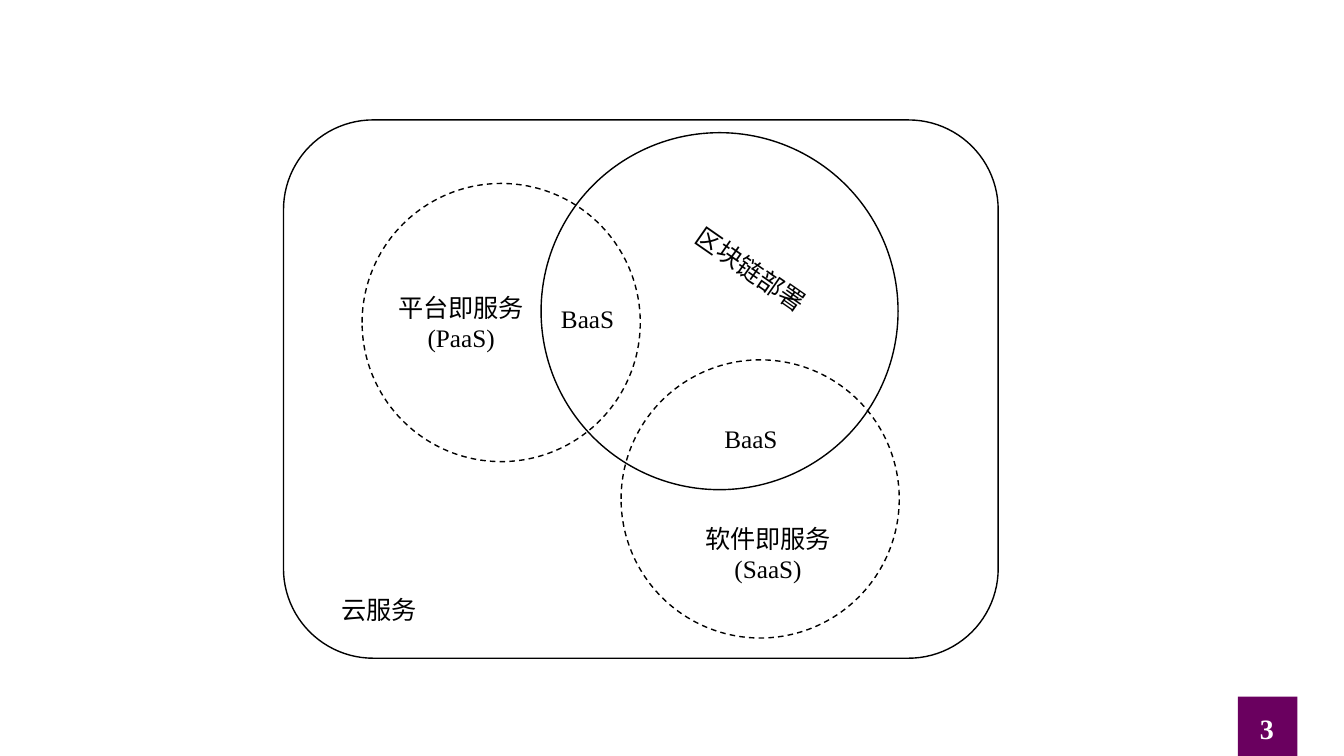
from lxml.etree import SubElement
from pptx import Presentation
from pptx.dml.color import RGBColor
from pptx.enum.dml import MSO_LINE
from pptx.enum.shapes import MSO_SHAPE
from pptx.enum.text import MSO_AUTO_SIZE, PP_ALIGN
from pptx.oxml.ns import qn
from pptx.util import Pt

COLORS = {"ink": "000000", "paper": "FFFFFF", "plum": "6A005F"}
LATIN, HAN = "Times New Roman", "Noto Sans CJK SC"

BADGE = (884.2, 497.5, 42.5, 42.5)
CLOUD = (202.5, 85.7, 510.5, 384.5)

# centre x, centre y, diameter, fill, dashed
CIRCLES = [
    (358, 230.4, 198.7, "paper", True),
    (543, 356.4, 198.7, "paper", True),
    (514, 222.3, 255, None, False),
]

# lines, left, top, width, height, turn
LABELS = [
    (["平台即服务(PaaS)"], 270, 205.2, 118.8, 51, 0),
    (["软件即服务", "(SaaS)"], 449.3, 370, 198.7, 51, 0),
    (["BaaS"], 383, 213.1, 73.4, 29, 0),
    (["BaaS"], 499.7, 298.8, 73.4, 29, 0),
    (["区块链部署"], 439.2, 177.8, 194.4, 29, 34.8),
    (["云服务"], 203, 421.2, 136, 29, 0),
]
PAGE = (["3"], 850.3, 504.7, 109.4, 29, 0)


def rgb(name):
    return RGBColor.from_string(COLORS[name])


def add_form(slide, kind, box, fill=None, line=None, dashed=False):
    form = slide.shapes.add_shape(kind, *map(Pt, box))
    form.shadow.inherit = False
    if fill:
        form.fill.solid()
        form.fill.fore_color.rgb = rgb(fill)
    else:
        form.fill.background()
    if line:
        form.line.color.rgb = rgb(line)
        form.line.width = Pt(1)
        if dashed:
            form.line.dash_style = MSO_LINE.DASH
    else:
        form.line.fill.background()


def add_label(slide, label, size=18, color="ink", bold=False):
    lines, *box, turn = label
    text = slide.shapes.add_textbox(*map(Pt, box))
    text.rotation = turn
    frame = text.text_frame
    frame.word_wrap = True
    frame.auto_size = MSO_AUTO_SIZE.NONE
    frame.text = "\n".join(lines)
    for para in frame.paragraphs:
        para.alignment = PP_ALIGN.CENTER
        font = para.font
        font.size, font.bold, font.name = Pt(size), bold, LATIN
        font.color.rgb = rgb(color)
        props = para._p.pPr.find(qn("a:defRPr"))
        SubElement(props, qn("a:ea"), typeface=HAN)


def main():
    deck = Presentation()
    deck.slide_width, deck.slide_height = Pt(960), Pt(540)
    slide = deck.slides.add_slide(deck.slide_layouts[6])

    add_form(slide, MSO_SHAPE.RECTANGLE, BADGE, "plum")
    add_form(slide, MSO_SHAPE.ROUNDED_RECTANGLE, CLOUD, "paper", "ink")
    add_label(slide, PAGE, 20, "paper", True)
    for x, y, size, fill, dashed in CIRCLES:
        box = (x - size / 2, y - size / 2, size, size)
        add_form(slide, MSO_SHAPE.OVAL, box, fill, "ink", dashed)
    for label in LABELS:
        add_label(slide, label)

    deck.save("out.pptx")


if __name__ == "__main__":
    main()
